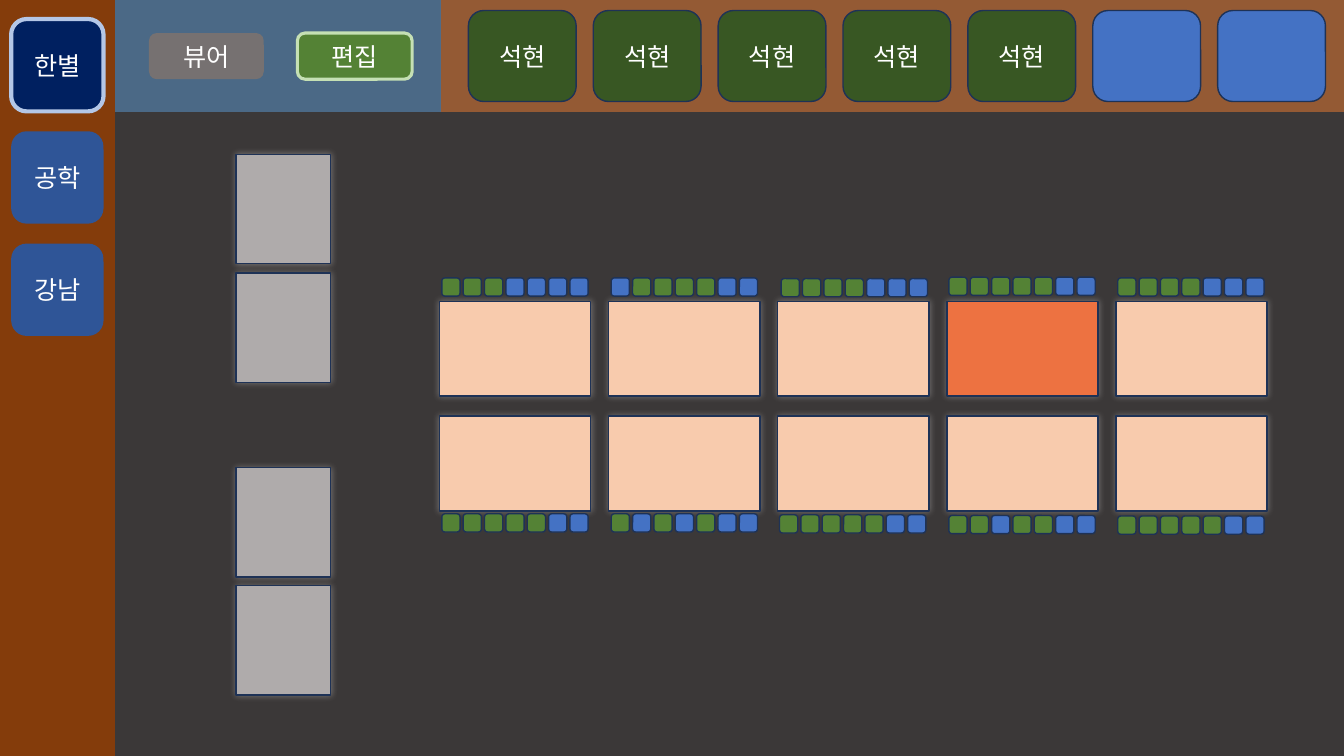
import pptx
import pptx.util
import pptx.dml.color
import pptx.enum.shapes
import pptx.enum.text
import pptx.oxml
import pptx.oxml.ns
from lxml import etree

Pt = pptx.util.Pt
RGBColor = pptx.dml.color.RGBColor
RECT = pptx.enum.shapes.MSO_SHAPE.RECTANGLE
ROUNDED = pptx.enum.shapes.MSO_SHAPE.ROUNDED_RECTANGLE
qn = pptx.oxml.ns.qn

COLORS = {
    "floor": "3B3838", "people_bar": "ED7D31", "mode_bar": "5B9BD5",
    "sidebar": "843C0B", "place": "2F5597", "place_active": "002060",
    "place_ring": "B4C7E7", "viewer": "767171", "edit_ring": "C5E0B4",
    "taken": "548235", "free": "4472C4", "person": "385723",
    "desk": "F8CBAD", "desk_active": "ED7241", "cabinet": "AFABAB",
    "outline": "1E3256", "glow": "D0CECE", "text": "FFFFFF",
}


def add_box(shapes, kind, left, top, width, height, fill, line=None, weight=1, label=""):
    """Add a filled shape with an optional outline and centred label."""
    box = shapes.add_shape(kind, Pt(left), Pt(top), Pt(width), Pt(height))
    box.shadow.inherit = False
    box.fill.solid()
    box.fill.fore_color.rgb = RGBColor.from_string(COLORS[fill])
    if line:
        box.line.color.rgb = RGBColor.from_string(COLORS[line])
        box.line.width = Pt(weight)
    else:
        box.line.fill.background()
    if label:
        frame = box.text_frame
        frame.text = label
        frame.vertical_anchor = pptx.enum.text.MSO_ANCHOR.MIDDLE
        paragraph = frame.paragraphs[0]
        paragraph.alignment = pptx.enum.text.PP_ALIGN.CENTER
        paragraph.font.name = "Calibri"
        paragraph.font.size = Pt(18)
        paragraph.font.color.rgb = RGBColor.from_string(COLORS["text"])
    return box


def add_glow(box):
    """Give a shape a soft, light shadow on all sides."""
    effects = box._element.spPr.find(qn("a:effectLst"))
    shadow = etree.SubElement(effects, qn("a:outerShdw"), blurRad=str(Pt(5)),
                              dist="0", dir="0", algn="ctr", rotWithShape="0")
    color = etree.SubElement(shadow, qn("a:srgbClr"), val=COLORS["glow"])
    etree.SubElement(color, qn("a:alpha"), val="40000")


presentation = pptx.Presentation()
presentation.slide_width, presentation.slide_height = Pt(960), Pt(540)
slide = presentation.slides.add_slide(presentation.slide_layouts[6])
slide.background.fill.solid()
slide.background.fill.fore_color.rgb = RGBColor.from_string(COLORS["floor"])
shapes = slide.shapes

# Half-transparent header bars
for left, width, fill in [(315, 645, "people_bar"), (82, 233, "mode_bar")]:
    bar = add_box(shapes, RECT, left, 0, width, 80, fill)
    color = bar._element.spPr.find(qn("a:solidFill"))[0]
    etree.SubElement(color, qn("a:alpha"), val="50000")

# Desks in two rows of five
DESK_PITCH = 120.8
ACTIVE_DESK = (0, 3)
for row, top in enumerate([215.2, 297.2]):
    for column in range(5):
        fill = "desk_active" if (row, column) == ACTIVE_DESK else "desk"
        add_glow(add_box(shapes, RECT, 314 + column * DESK_PITCH, top, 108, 67.8,
                         fill, "outline"))

# Cabinets, turned upright
for top in [115.6, 200.3, 339.4, 423.7]:
    cabinet = add_box(shapes, RECT, 163.2, top, 78, 67.5, "cabinet", "outline")
    cabinet.rotation = 90
    add_glow(cabinet)

# Sidebar with places
add_box(shapes, RECT, 0, 0, 82, 540, "sidebar")
for index, place in enumerate(["한별", "공학", "강남"]):
    fill, ring = ("place", None) if index else ("place_active", "place_ring")
    add_box(shapes, ROUNDED, 8, 13.6 + index * 80.2, 66, 66, fill, ring, 3, place)

# Seats along each desk: left, top, then T for taken and F for free
SEAT_ROWS = [
    (315.6, 198.5, "TTTFFFF"), (436.6, 198.5, "FTTTTFF"),
    (558, 199, "TTTTFFF"), (677.8, 198, "TTTTTFF"), (798.4, 198.5, "TTTTFFF"),
    (315.6, 367, "TTTTTFF"), (436.6, 367, "TFTFTFF"),
    (556.8, 367.7, "TTTTTFF"), (677.8, 368.2, "TTFTTFF"), (798.4, 368.6, "TTTTTFF"),
]
for left, top, seats in SEAT_ROWS:
    seat_row = shapes.add_group_shape()
    for index, seat in enumerate(seats):
        fill = "taken" if seat == "T" else "free"
        add_box(seat_row.shapes, ROUNDED, left + index * 15.25, top, 13, 13,
                fill, "outline")

# People in the header
people = shapes.add_group_shape()
for index, person in enumerate(["석현"] * 5 + [""] * 2):
    fill = "person" if person else "free"
    add_box(people.shapes, ROUNDED, 334.6 + index * 89.2, 7.5, 77, 65,
            fill, "outline", label=person)

# Mode buttons
add_box(shapes, ROUNDED, 106.4, 23.6, 82, 33, "viewer", label="뷰어")
add_box(shapes, ROUNDED, 212.4, 23.6, 82, 33, "taken", "edit_ring", 2.25, "편집")

presentation.save("out.pptx")
